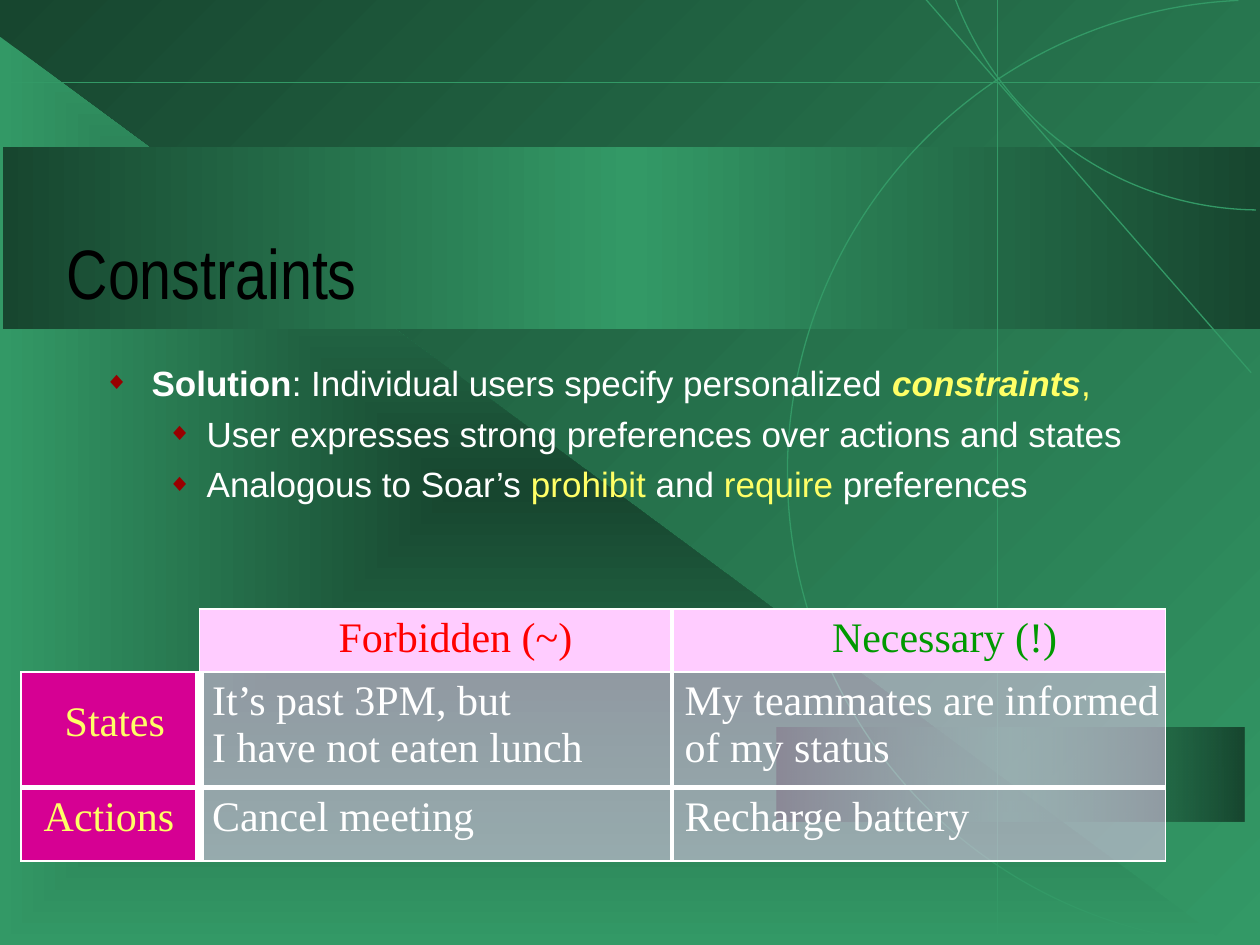
from lxml import etree
from pptx import Presentation
from pptx.dml.color import RGBColor
from pptx.enum.shapes import MSO_CONNECTOR, MSO_SHAPE
from pptx.enum.text import MSO_ANCHOR
from pptx.oxml.ns import qn
from pptx.util import Pt

GREEN = RGBColor(0x33, 0x99, 0x66)
DARK = RGBColor(0x17, 0x46, 0x2F)
BLACK = RGBColor(0x00, 0x00, 0x00)
WHITE = RGBColor(0xFF, 0xFF, 0xFF)
YELLOW = RGBColor(0xFF, 0xFF, 0x66)
PINK = RGBColor(0xFF, 0xCC, 0xFF)
MAGENTA = RGBColor(0xD6, 0x00, 0x93)
RED = RGBColor(0xFF, 0x00, 0x00)
LEAF = RGBColor(0x00, 0x99, 0x00)
MAROON = RGBColor(0x99, 0x00, 0x00)


def sub(parent, tag, **attrs):
    return etree.SubElement(parent, qn(tag), {k: str(v) for k, v in attrs.items()})


def add_color(parent, color, alpha=100):
    clr = sub(parent, "a:srgbClr", val=color)
    if alpha < 100:
        sub(clr, "a:alpha", val=alpha * 1000)


def set_gradient(fill, element, stops, angle=None):
    """Fill with (position, colour, alpha) stops; no angle means from the centre out."""
    fill.gradient()
    grad = element.find(".//" + qn("a:gradFill"))
    for child in list(grad):
        grad.remove(child)
    gs_lst = sub(grad, "a:gsLst")
    for pos, color, alpha in stops:
        add_color(sub(gs_lst, "a:gs", pos=pos * 1000), color, alpha)
    if angle is None:
        path = sub(grad, "a:path", path="rect")
        sub(path, "a:fillToRect", l=50000, t=50000, r=50000, b=50000)
    else:
        sub(grad, "a:lin", ang=angle * 60000, scaled=0)


def add_run(p, text, font="Arial", size=20, color=WHITE, bold=False, italic=False):
    r = p.add_run()
    r.text = text
    f = r.font
    f.name, f.size, f.bold, f.italic = font, Pt(size), bold, italic
    f.color.rgb = color


def set_bullet(p, left, hang):
    pPr = p._p.get_or_add_pPr()
    pPr.set("marL", str(Pt(left)))
    pPr.set("indent", str(-Pt(hang)))
    add_color(sub(pPr, "a:buClr"), MAROON)
    sub(pPr, "a:buSzPct", val=70000)
    sub(pPr, "a:buFont", typeface="Arial")
    sub(pPr, "a:buChar", char="◆")


def set_border(cell, side, width):
    """Draw one side of a cell in white; a width of 0 draws none."""
    ln = sub(cell._tc.get_or_add_tcPr(), "a:ln" + side, w=Pt(width))
    if width:
        add_color(sub(ln, "a:solidFill"), WHITE)
    else:
        sub(ln, "a:noFill")


class Deck:
    def __init__(self, width, height):
        self.prs = Presentation()
        self.prs.slide_width, self.prs.slide_height = Pt(width), Pt(height)
        self.s = self.prs.slides.add_slide(self.prs.slide_layouts[6])
        self.line_color, self.line_width = GREEN, 0.75

    def background(self, stops, angle):
        set_gradient(self.s.background.fill, self.s._element, stops, angle)

    def gradient_shape(self, kind, box, stops, angle=None):
        sp = self.s.shapes.add_shape(kind, *map(Pt, box))
        sp.shadow.inherit = False
        sp.line.fill.background()
        set_gradient(sp.fill, sp._element, stops, angle)

    def arc(self, box, start, end):
        """Clockwise arc between two angles in degrees."""
        sp = self.s.shapes.add_shape(MSO_SHAPE.ARC, *map(Pt, box))
        sp.shadow.inherit = False
        sp.fill.background()
        sp.line.color.rgb, sp.line.width = self.line_color, Pt(self.line_width)
        for i, degrees in enumerate((start, end)):
            sp.adjustments[i] = degrees * 0.6

    def line(self, *ends):
        cx = self.s.shapes.add_connector(MSO_CONNECTOR.STRAIGHT, *map(Pt, ends))
        cx.line.color.rgb, cx.line.width = self.line_color, Pt(self.line_width)
        sub(cx._element.spPr, "a:effectLst")

    def text_frame(self, box, anchor=MSO_ANCHOR.TOP):
        tf = self.s.shapes.add_textbox(*map(Pt, box)).text_frame
        tf.word_wrap, tf.vertical_anchor = True, anchor
        return tf

    def title(self, box, text):
        p = self.text_frame(box, MSO_ANCHOR.BOTTOM).paragraphs[0]
        p.line_spacing = 0.85
        add_run(p, text, font="Arial Narrow", size=40, color=BLACK)

    def bullets(self, box, items):
        tf = self.text_frame(box)
        for i, (level, runs) in enumerate(items):
            p = tf.paragraphs[0] if i == 0 else tf.add_paragraph()
            p.level, p.space_before = level, Pt(5)
            set_bullet(p, *((27, 27), (58.5, 22.5))[level])
            for text, fmt in runs:
                add_run(p, text, **fmt)

    def table(self, left, top, widths, heights, rows):
        tbl = self.s.shapes.add_table(len(heights), len(widths), Pt(left), Pt(top),
                                      Pt(sum(widths)), Pt(sum(heights))).table
        tbl.first_row = tbl.horz_banding = False
        for column, width in zip(tbl.columns, widths):
            column.width = Pt(width)
        for r, (height, row) in enumerate(zip(heights, rows)):
            tbl.rows[r].height = Pt(height)
            for c, content in enumerate(row):
                self.cell(tbl.cell(r, c), r, c, *content)

    def cell(self, cell, r, c, text, color, indent, drop):
        h_edges = (0.75, 0.75, 3, 0.75)
        v_edges = (0.75, 0.75 if r == 0 else 6, 3, 0.75)
        corner = r == c == 0
        set_border(cell, "L", 0 if corner else v_edges[c])
        set_border(cell, "R", v_edges[c + 1])
        set_border(cell, "T", 0 if corner else h_edges[r])
        set_border(cell, "B", h_edges[r + 1])
        if corner:
            cell.fill.background()
            return
        cell.fill.solid()
        cell.fill.fore_color.rgb = MAGENTA if c == 0 else PINK
        if r and c:
            clr = cell._tc.tcPr.find(qn("a:solidFill")).find(qn("a:srgbClr"))
            sub(clr, "a:alpha", val=50000)
        cell.margin_left, cell.margin_right = Pt(indent), 0
        cell.margin_top, cell.margin_bottom = Pt(drop), 0
        for i, line in enumerate(text.split("\n")):
            p = cell.text_frame.paragraphs[0] if i == 0 else cell.text_frame.add_paragraph()
            add_run(p, line, font="Times New Roman", size=24, color=color)


def main():
    deck = Deck(720, 540)
    deck.background([(0, GREEN, 100), (100, DARK, 100)], 225)
    deck.gradient_shape(MSO_SHAPE.RIGHT_TRIANGLE, (0, 21, 702, 519),
                        [(0, DARK, 100), (100, GREEN, 100)])
    for box, alpha in (((444, 415.5, 267, 54), 50), ((1.5, 84, 718.5, 104), 100)):
        deck.gradient_shape(MSO_SHAPE.RECTANGLE, box,
                            [(0, DARK, 100), (50, GREEN, alpha), (100, DARK, 100)], 180)
    deck.arc((450, 0, 540, 540), 92.1, 267.4)
    deck.arc((534, -252, 372, 372), 90.7, 159.5)
    deck.line(715, 213, 528.5, -1)
    deck.line(570, -1, 570, 536)
    deck.line(0, 47, 720, 47)

    deck.title((31, 85, 663, 98), "Constraints")
    yellow = dict(color=YELLOW)
    deck.bullets((52.5, 203, 619, 269), [
        (0, [("Solution", dict(bold=True)),
             (": Individual users specify personalized ", {}),
             ("constraints", dict(color=YELLOW, bold=True, italic=True)),
             (",", yellow)]),
        (1, [("User expresses strong preferences over actions and states", {})]),
        (1, [("Analogous to Soar’s ", {}), ("prohibit", yellow), (" and ", {}),
             ("require", yellow), (" preferences", {})]),
    ])
    deck.table(12, 348, (102, 270, 282), (36, 66, 42), [
        [("", WHITE, 0, 0), ("Forbidden (~)", RED, 79.5, 3.6),
         ("Necessary (!)", LEAF, 91.5, 3.6)],
        [("States", YELLOW, 25, 15.6),
         ("It’s past 3PM, but\nI have not eaten lunch", WHITE, 7.2, 3.6),
         ("My teammates are informed\nof my status", WHITE, 7.2, 3.6)],
        [("Actions", YELLOW, 13, 3.6), ("Cancel meeting", WHITE, 7.2, 3.6),
         ("Recharge battery", WHITE, 7.2, 3.6)],
    ])
    deck.prs.save("out.pptx")


if __name__ == "__main__":
    main()
